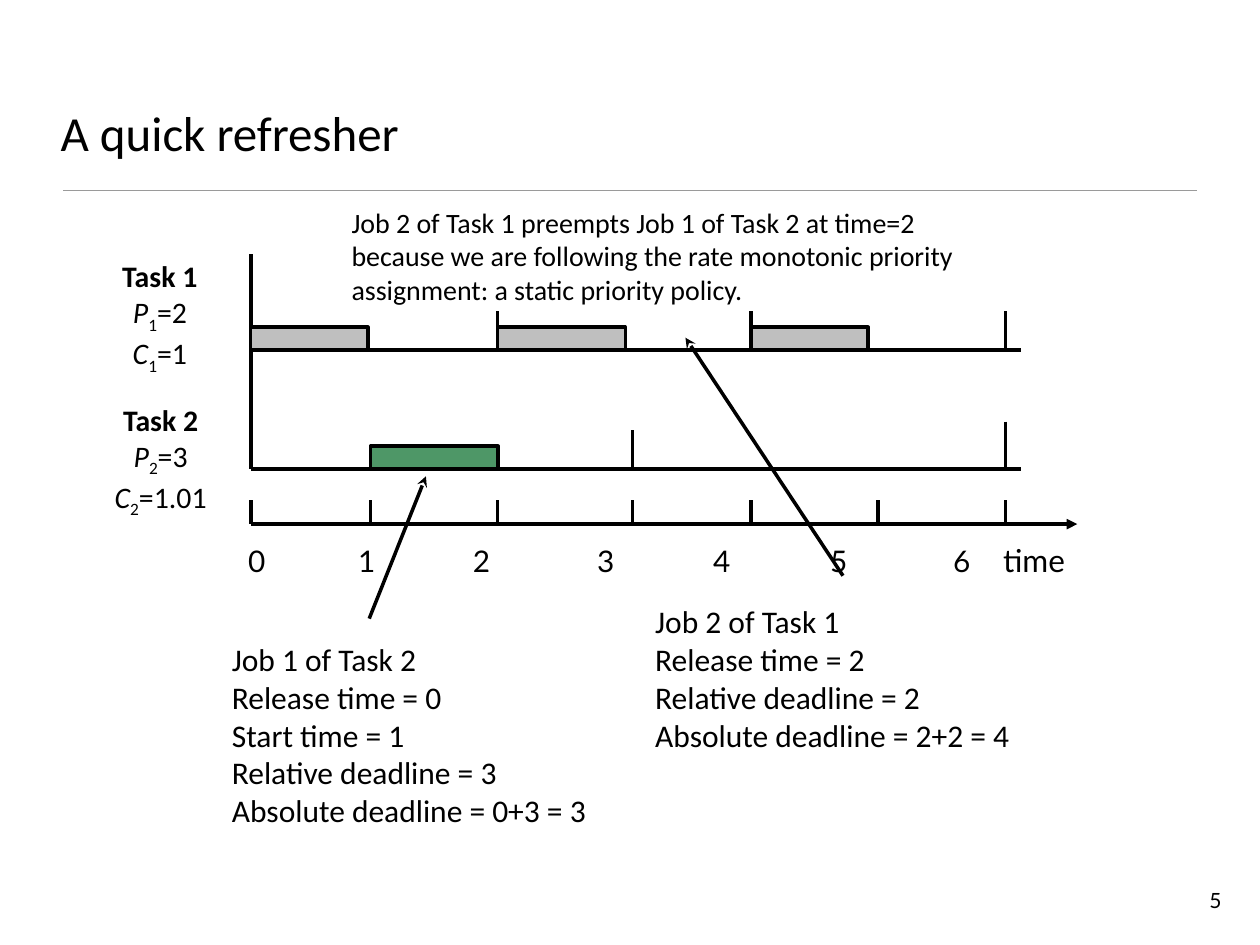
from lxml.etree import SubElement
from pptx import Presentation
from pptx.dml.color import RGBColor
from pptx.enum.shapes import MSO_CONNECTOR as Connector, MSO_SHAPE as Shape
from pptx.enum.text import MSO_ANCHOR as Anchor, PP_ALIGN as Align
from pptx.oxml.ns import qn
from pptx.util import Pt

BLACK = RGBColor(0x00, 0x00, 0x00)
RULE_GRAY = RGBColor(0x9A, 0x9A, 0x9A)
TASK_1_GRAY = RGBColor(0xBF, 0xBF, 0xBF)
TASK_2_GREEN = RGBColor(0x4E, 0x97, 0x67)

TICKS = [143.3, 211.7, 284.4, 361.4, 429.1, 501.8, 574.6]  # x of time 0 to 6
LANE_1, LANE_2, TIME_AXIS = 200, 268, 299.5
LANE_END = 583.2
BAR_HEIGHT = 13


class SlideBuilder:
    """Holds the style and the slide being filled; lengths are in points."""
    font, line_width = "Calibri", 2

    def __init__(self, slide):
        self.slide = slide

    def line(self, start, end, color=BLACK, width=line_width, arrow=None):
        """Draw a line; arrow names the head at its end."""
        connector = self.slide.shapes.add_connector(
            Connector.STRAIGHT, *(Pt(value) for value in (*start, *end)))
        connector.line.color.rgb = color
        connector.line.width = Pt(width)
        if arrow:
            SubElement(connector.line._get_or_add_ln(), qn("a:tailEnd"), type=arrow)
        SubElement(connector._element.spPr, qn("a:effectLst"))

    def tick(self, x, base, height):
        self.line((x, base - height), (x, base))

    def bar(self, x, base, width, color):
        box = (x, base - BAR_HEIGHT, width, BAR_HEIGHT)
        shape = self.slide.shapes.add_shape(Shape.RECTANGLE, *map(Pt, box))
        shape.shadow.inherit = False
        shape.fill.solid()
        shape.fill.fore_color.rgb = color
        shape.line.color.rgb = BLACK
        shape.line.width = Pt(self.line_width)

    def style(self, run, size, font=None):
        run.font.name = font or self.font
        run.font.size = Pt(size)
        run.font.color.rgb = BLACK

    def text(self, box, text, size, font=None, inset=(0, 0), wrap=False):
        frame = self.slide.shapes.add_textbox(*map(Pt, box)).text_frame
        frame.margin_left = frame.margin_right = Pt(inset[0])
        frame.margin_top = frame.margin_bottom = Pt(inset[1])
        frame.vertical_anchor = Anchor.BOTTOM
        frame.word_wrap = wrap
        frame.text = text
        for paragraph in frame.paragraphs:
            for run in paragraph.runs:
                self.style(run, size, font)
        return frame

    def task_label(self, box, number, period, cost):
        """Write a task's name with its period P and computation time C."""
        size = 17
        frame = self.text(box, f"Task {number}", size)
        frame.paragraphs[0].runs[0].font.bold = True
        for symbol, value in (("P", period), ("C", cost)):
            paragraph = frame.add_paragraph()
            for part in (symbol, number, f"={value}"):
                run = paragraph.add_run()
                run.text = part
                self.style(run, size)
            name, subscript, _ = paragraph.runs
            name.font.italic = True
            subscript.font._element.set("baseline", "-26000")
        for paragraph in frame.paragraphs:
            paragraph.alignment = Align.CENTER

    def axis_labels(self, box, labels, stops):
        """Write the labels on one line, each after the first at a tab stop."""
        frame = self.text(box, "\t".join(labels[:-1]) + "\t", 17, "Lato", wrap=True)
        paragraph = frame.paragraphs[0]
        run = paragraph.add_run()
        run.text = labels[-1]
        self.style(run, 18, "Lato")
        tab_list = SubElement(paragraph._p.get_or_add_pPr(), qn("a:tabLst"))
        for stop in stops:
            SubElement(tab_list, qn("a:tab"), pos=str(Pt(stop)), algn="l")


def main():
    presentation = Presentation()
    presentation.slide_width, presentation.slide_height = Pt(720), Pt(540)
    slide = presentation.slides.add_slide(presentation.slide_layouts[6])
    builder = SlideBuilder(slide)

    builder.text((684, 503.3, 28.8, 21.6), "5", 12, "Lato", inset=(7.2, 3.6))
    builder.line((36, 108.7), (684, 108.7), RULE_GRAY, 0.75)
    builder.text((31.7, 18, 656.6, 77), "A quick refresher", 28,
                 inset=(2.9, 2.9), wrap=True)

    for lane in (LANE_1, LANE_2):
        builder.line((TICKS[0], lane), (LANE_END, lane))
    builder.line((TICKS[0], LANE_2), (TICKS[0], 145.4))
    for time, lane, height in ((2, LANE_1, 22), (4, LANE_1, 22), (6, LANE_1, 22),
                               (3, LANE_2, 22), (6, LANE_2, 27)):
        builder.tick(TICKS[time], lane, height)

    builder.task_label((69.8, 152.6, 43.2, 62), "1", "2", "1")
    builder.task_label((64.8, 234.7, 54, 62), "2", "3", "1.01")

    builder.line((TICKS[0], TIME_AXIS), (615.6, TIME_AXIS), arrow="triangle")
    for x in TICKS:
        builder.tick(x, TIME_AXIS, 13.7)

    for time, lane, width, color in ((0, LANE_1, 67, TASK_1_GRAY),
                                     (2, LANE_1, 73, TASK_1_GRAY),
                                     (4, LANE_1, 67, TASK_1_GRAY),
                                     (1, LANE_2, 73, TASK_2_GREEN)):
        builder.bar(TICKS[time], lane, width, color)

    builder.text((132.5, 365, 205.2, 108.7),
                 "Job 1 of Task 2\nRelease time = 0\nStart time = 1\n"
                 "Relative deadline = 3\nAbsolute deadline = 0+3 = 3", 18)
    builder.text((374.4, 343.4, 205.2, 87.1),
                 "Job 2 of Task 1\nRelease time = 2\n"
                 "Relative deadline = 2\nAbsolute deadline = 2+2 = 4", 18)
    builder.line((481.7, 329), (391.7, 193), arrow="stealth")
    builder.line((211, 353.5), (243.4, 272.2), arrow="stealth")
    builder.text((200.9, 116.6, 348.5, 58.3),
                 "Job 2 of Task 1 preempts Job 1 of Task 2 at time=2\n"
                 "because we are following the rate monotonic priority\n"
                 "assignment: a static priority policy.", 16)
    builder.axis_labels((141.8, 302.4, 567.4, 28.1), [*"0123456", "time"],
                        [62.9, 128.5, 199.4, 265.7, 332.5, 402.8, 431.4])

    presentation.save("out.pptx")


if __name__ == "__main__":
    main()
